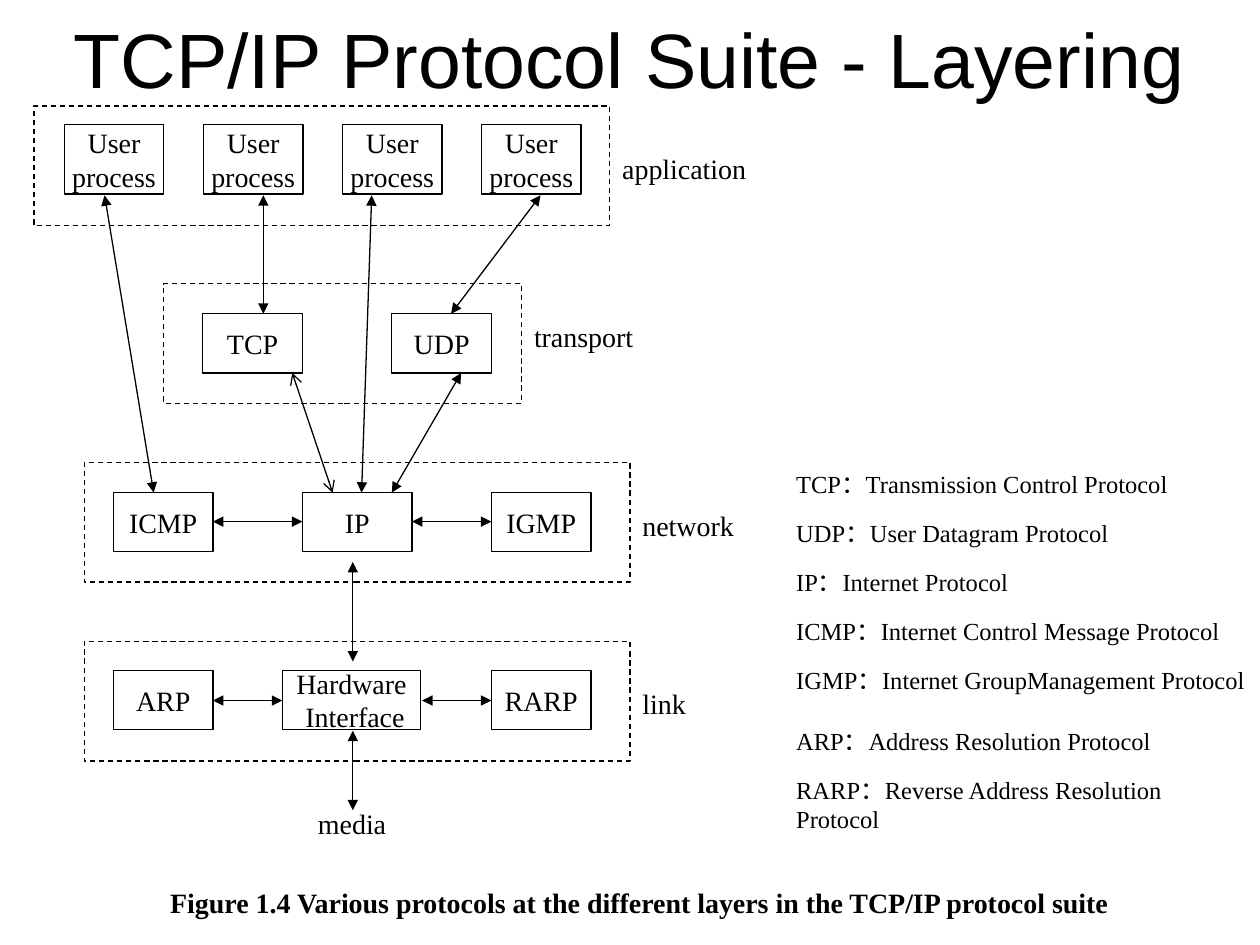
from typing import NamedTuple

from lxml.etree import SubElement
from pptx import Presentation
from pptx.dml.color import RGBColor
from pptx.enum.dml import MSO_LINE
from pptx.enum.shapes import MSO_CONNECTOR, MSO_SHAPE
from pptx.enum.text import MSO_ANCHOR, PP_ALIGN
from pptx.oxml.ns import qn
from pptx.util import Inches, Pt

COLORS = {"ink": "000000"}
INK = RGBColor.from_string(COLORS["ink"])
SERIF = "Times New Roman"
LINE_WIDTH = Pt(0.74)
BOX_W, BOX_H = 0.79, 0.47
LAYER_H = 0.95


class Layer(NamedTuple):
    """A dashed frame with its name on the right."""
    name: str
    left: float
    top: float
    width: float
    label_top: float


class Box(NamedTuple):
    """A process or protocol box."""
    text: str
    left: float
    top: float
    width: float = BOX_W
    height: float = BOX_H


class Arrow(NamedTuple):
    """A double-headed arrow."""
    x1: float
    y1: float
    x2: float
    y2: float
    head: str = "triangle"


class Term(NamedTuple):
    """A glossary line, with the height of its box and the step to the next."""
    text: str
    height: float = 0.34
    step: float = 0.39


LAYERS = [
    Layer("application", 0.27, 0.84, 4.57, 1.15),
    Layer("transport", 1.3, 2.25, 2.84, 2.49),
    Layer("network", 0.67, 3.67, 4.33, 3.99),
    Layer("link", 0.67, 5.09, 4.33, 5.4),
]
BOXES = [Box("User\nprocess", 0.51 + 1.104 * i, 0.99, height=0.55) for i in range(4)] + [
    Box("TCP", 1.61, 2.49),
    Box("UDP", 3.11, 2.49),
    Box("ICMP", 0.9, 3.91),
    Box("IP", 2.4, 3.91, 0.87),
    Box("IGMP", 3.9, 3.91),
    Box("ARP", 0.9, 5.32),
    Box("Hardware\n Interface", 2.24, 5.32, 1.1),
    Box("RARP", 3.9, 5.32),
]
ARROWS = [
    Arrow(0.83, 1.55, 1.22, 3.91),
    Arrow(2.09, 1.55, 2.09, 2.49),
    Arrow(2.95, 1.55, 2.87, 3.91),
    Arrow(4.29, 1.55, 3.58, 2.49),
    Arrow(2.32, 2.96, 2.64, 3.91, "arrow"),
    Arrow(3.66, 2.96, 3.11, 3.91),
    Arrow(1.69, 4.14, 2.4, 4.14),
    Arrow(3.27, 4.14, 3.9, 4.14),
    Arrow(2.8, 4.46, 2.8, 5.25),
    Arrow(1.69, 5.56, 2.24, 5.56),
    Arrow(3.35, 5.56, 3.9, 5.56),
    Arrow(2.8, 5.8, 2.8, 6.43),
]
TERMS = [
    Term("TCP：Transmission Control Protocol"),
    Term("UDP：User Datagram Protocol"),
    Term("IP：Internet Protocol"),
    Term("ICMP：Internet Control Message Protocol"),
    Term("IGMP：Internet GroupManagement Protocol", 0.57, 0.48),
    Term("ARP：Address Resolution Protocol"),
    Term("RARP：Reverse Address Resolution Protocol", 0.57),
]


def write(s, text: str, size: float = 16, font: str = SERIF, bold: bool = False,
          align=PP_ALIGN.LEFT, anchor=MSO_ANCHOR.TOP, wrap: bool = True) -> None:
    """Fill a shape with text, one paragraph per line."""
    tf = s.text_frame
    tf.word_wrap = wrap
    tf.vertical_anchor = anchor
    tf.text = text
    for p in tf.paragraphs:
        p.alignment = align
        p.font.size = Pt(size)
        p.font.name = font
        p.font.bold = bold
        p.font.color.rgb = INK


def add_text(slide, text: str, left: float, top: float, width: float,
             height: float = 0.37, **style) -> None:
    """Add a text box."""
    s = slide.shapes.add_textbox(Inches(left), Inches(top), Inches(width), Inches(height))
    write(s, text, **style)


def add_rect(slide, left: float, top: float, width: float, height: float):
    """Add an unfilled rectangle with a thin outline."""
    s = slide.shapes.add_shape(MSO_SHAPE.RECTANGLE, Inches(left), Inches(top),
                               Inches(width), Inches(height))
    s.shadow.inherit = False
    s.fill.background()
    s.line.color.rgb = INK
    s.line.width = LINE_WIDTH
    return s


def add_layer(slide, layer: Layer) -> None:
    """Draw a layer's dashed frame and its name."""
    s = add_rect(slide, layer.left, layer.top, layer.width, LAYER_H)
    s.line.dash_style = MSO_LINE.DASH
    add_text(slide, layer.name, layer.left + layer.width, layer.label_top, 1.73)


def add_box(slide, box: Box) -> None:
    """Draw a box with centred text."""
    s = add_rect(slide, box.left, box.top, box.width, box.height)
    write(s, box.text, align=PP_ALIGN.CENTER, anchor=MSO_ANCHOR.MIDDLE, wrap=False)


def add_arrow(slide, arrow: Arrow) -> None:
    """Draw a line with a head at both ends."""
    s = slide.shapes.add_connector(MSO_CONNECTOR.STRAIGHT, Inches(arrow.x1), Inches(arrow.y1),
                                   Inches(arrow.x2), Inches(arrow.y2))
    s.line.color.rgb = INK
    s.line.width = LINE_WIDTH
    ln = s.line._get_or_add_ln()
    for end in ("a:headEnd", "a:tailEnd"):
        SubElement(ln, qn(end), type=arrow.head)
    SubElement(s._element.spPr, qn("a:effectLst"))


def add_glossary(slide, left: float, top: float) -> None:
    """Stack the expanded protocol names."""
    for term in TERMS:
        add_text(slide, term.text, left, top, 3.78, term.height, size=14)
        top += term.step


def main() -> None:
    """Build and save the slide."""
    prs = Presentation()
    prs.slide_width, prs.slide_height = Inches(10), Inches(7.5)
    slide = prs.slides.add_slide(prs.slide_layouts[6])
    add_text(slide, "TCP/IP Protocol Suite - Layering", 0, 0, 10, 0.92, size=44,
             font="Arial", align=PP_ALIGN.CENTER, anchor=MSO_ANCHOR.MIDDLE)
    for box in BOXES:
        add_box(slide, box)
    for arrow in ARROWS:
        add_arrow(slide, arrow)
    for layer in LAYERS:
        add_layer(slide, layer)
    add_text(slide, "media", 1.93, 6.35, 1.73, align=PP_ALIGN.CENTER)
    add_text(slide, "Figure 1.4 Various protocols at the different layers in the "
             "TCP/IP protocol suite", 0.9, 6.98, 8.35, bold=True, align=PP_ALIGN.CENTER)
    add_glossary(slide, 6.22, 3.67)
    prs.save("out.pptx")


main()
